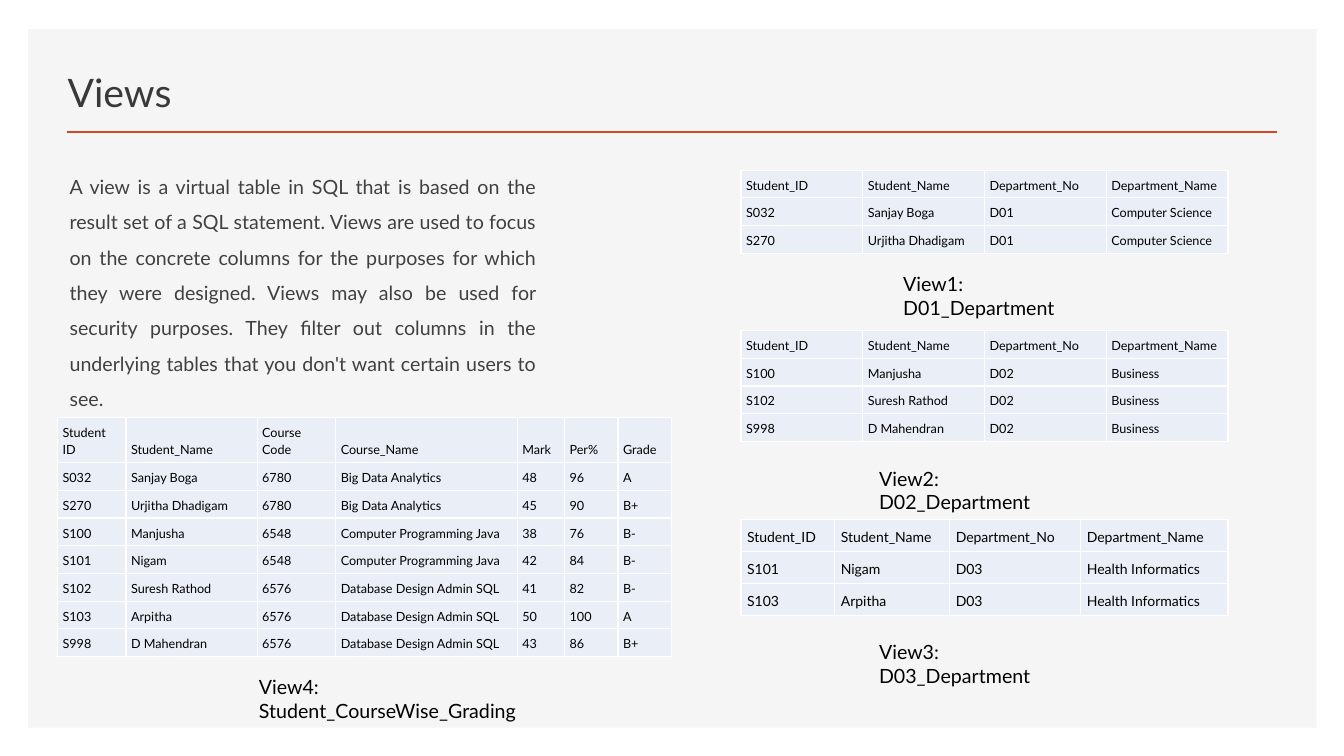
"""Build the "Views" slide: a definition of SQL views with four example tables."""
from lxml.etree import SubElement
from pptx import Presentation
from pptx.dml.color import RGBColor
from pptx.enum.shapes import MSO_CONNECTOR, MSO_SHAPE
from pptx.enum.text import MSO_ANCHOR as Anchor, MSO_AUTO_SIZE as AutoSize, PP_ALIGN as Align
from pptx.oxml import parse_xml
from pptx.oxml.ns import nsdecls, qn
from pptx.util import Inches, Pt

FONT = "Lato"
COLORS = {
    "panel": "F5F5F5",
    "rule": "D24726",
    "title": "3B3838",
    "body": "404040",
    "text": "000000",
    "cell": "EAEFF7",
    "border": "FFFFFF",
}

TITLE = "Views"
DEFINITION = (
    "A view is a virtual table in SQL that is based on the result set of a SQL statement. "
    "Views are used to focus on the concrete columns for the purposes for which they were "
    "designed. Views may also be used for security purposes. They filter out columns in the "
    "underlying tables that you don't want certain users to see."
)
DEPARTMENT_HEADER = ("Student_ID", "Student_Name", "Department_No", "Department_Name")
EQUAL_COLUMNS = (4.83 / 4,) * 4

VIEWS = [
    {
        "at": (7.35, 1.69), "columns": EQUAL_COLUMNS, "header": 0.27, "row": 0.275,
        "size": 9, "margin": 0.05, "anchor": Anchor.TOP,
        "caption": ("View1: D01_Department", 8.86, 2.65, 2.29),
        "rows": [
            DEPARTMENT_HEADER,
            ("S032", "Sanjay Boga", "D01", "Computer Science"),
            ("S270", "Urjitha Dhadigam", "D01", "Computer Science"),
        ],
    },
    {
        "at": (7.35, 3.28), "columns": EQUAL_COLUMNS, "header": 0.275, "row": 0.275,
        "size": 9, "margin": 0.05, "anchor": Anchor.BOTTOM,
        "caption": ("View2: D02_Department", 8.62, 4.58, 2.29),
        "rows": [
            DEPARTMENT_HEADER,
            ("S100", "Manjusha", "D02", "Business"),
            ("S102", "Suresh Rathod", "D02", "Business"),
            ("S998", "D Mahendran", "D02", "Business"),
        ],
    },
    {
        "at": (7.35, 5.15), "columns": (0.93, 1.14, 1.3, 1.46), "header": 0.32, "row": 0.32,
        "size": 10, "margin": 0.06, "anchor": Anchor.BOTTOM,
        "caption": ("View3: D03_Department", 8.62, 6.3, 2.29),
        "rows": [
            DEPARTMENT_HEADER,
            ("S101", "Nigam", "D03", "Health Informatics"),
            ("S103", "Arpitha", "D03", "Health Informatics"),
        ],
    },
    {
        "at": (0.57, 4.14), "columns": (0.68, 1.3, 0.78, 1.8, 0.47, 0.53, 0.53),
        "header": 0.45, "row": 0.275,
        "size": 9, "margin": 0.05, "anchor": Anchor.BOTTOM,
        "caption": ("View4: Student_CourseWise_Grading", 2.47, 6.65, 3.37),
        "rows": [
            ("Student ID", "Student_Name", "Course\nCode", "Course_Name", "Mark", "Per%", "Grade"),
            ("S032", "Sanjay Boga", "6780", "Big Data Analytics", "48", "96", "A"),
            ("S270", "Urjitha Dhadigam", "6780", "Big Data Analytics", "45", "90", "B+"),
            ("S100", "Manjusha", "6548", "Computer Programming Java", "38", "76", "B-"),
            ("S101", "Nigam", "6548", "Computer Programming Java", "42", "84", "B-"),
            ("S102", "Suresh Rathod", "6576", "Database Design Admin SQL", "41", "82", "B-"),
            ("S103", "Arpitha", "6576", "Database Design Admin SQL", "50", "100", "A"),
            ("S998", "D Mahendran", "6576", "Database Design Admin SQL", "43", "86", "B+"),
        ],
    },
]


def color(name):
    return RGBColor.from_string(COLORS[name])


def set_font(para, size, color_name):
    para.font.name = FONT
    para.font.size = Pt(size)
    para.font.color.rgb = color(color_name)


def place(shape, left, top, width, height):
    shape.left, shape.top = Inches(left), Inches(top)
    shape.width, shape.height = Inches(width), Inches(height)


def add_background(slide):
    panel = slide.shapes.add_shape(
        MSO_SHAPE.RECTANGLE, Inches(0.28), Inches(0.29), Inches(12.78), Inches(6.93))
    panel.shadow.inherit = False
    panel.fill.solid()
    panel.fill.fore_color.rgb = color("panel")
    panel.line.fill.background()

    rule = slide.shapes.add_connector(
        MSO_CONNECTOR.STRAIGHT, Inches(0.66), Inches(1.31), Inches(12.67), Inches(1.31))
    rule.line.color.rgb = color("rule")
    rule.line.width = Pt(2)
    SubElement(rule._element.spPr, qn("a:effectLst"))

    tree = slide.shapes._spTree
    tree.insert(2, panel._element)
    tree.insert(3, rule._element)


def fill_placeholders(slide):
    title, body = slide.placeholders
    place(title, 0.57, 0.49, 7.52, 0.7)
    title.text_frame.text = TITLE
    title.text_frame.auto_size = AutoSize.NONE
    title.text_frame.vertical_anchor = Anchor.BOTTOM
    heading = title.text_frame.paragraphs[0]
    heading.alignment = Align.LEFT
    set_font(heading, 28, "title")

    place(body, 0.59, 1.57, 4.83, 4.35)
    body.text_frame.text = DEFINITION
    body.text_frame.auto_size = AutoSize.NONE
    para = body.text_frame.paragraphs[0]
    para.alignment = Align.JUSTIFY
    para.line_spacing = 1.5
    para.space_before, para.space_after = Pt(10), Pt(12)
    set_font(para, 14, "body")
    properties = para._p.get_or_add_pPr()
    properties.set("marL", "0")
    properties.set("indent", "0")
    bullet = parse_xml(f"<a:buNone {nsdecls('a')}/>")
    properties.insert_element_before(bullet, "a:tabLst", "a:defRPr", "a:extLst")


def format_cell(cell, text, view):
    cell.text = text
    cell.vertical_anchor = view["anchor"]
    margin = Inches(view["margin"])
    cell.margin_left = cell.margin_right = cell.margin_top = cell.margin_bottom = margin
    cell.fill.solid()
    cell.fill.fore_color.rgb = color("cell")
    for para in cell.text_frame.paragraphs:
        para.line_spacing = 1.15
        set_font(para, view["size"], "text")
    for index, side in enumerate("LRTB"):
        border = parse_xml(
            f'<a:ln{side} {nsdecls("a")} w="{Pt(1)}"><a:solidFill>'
            f'<a:srgbClr val="{COLORS["border"]}"/></a:solidFill></a:ln{side}>')
        cell._tc.get_or_add_tcPr().insert(index, border)


def add_view(slide, view):
    rows, columns = view["rows"], view["columns"]
    heights = [view["header"]] + [view["row"]] * (len(rows) - 1)
    left, top = view["at"]
    table = slide.shapes.add_table(
        len(rows), len(columns), Inches(left), Inches(top),
        Inches(sum(columns)), Inches(sum(heights))).table
    table.first_row = table.horz_banding = False
    for column, width in zip(table.columns, columns):
        column.width = Inches(width)
    for row, height, texts in zip(table.rows, heights, rows):
        row.height = Inches(height)
        for cell, text in zip(row.cells, texts):
            format_cell(cell, text, view)


def add_caption(slide, text, left, top, width):
    box = slide.shapes.add_textbox(Inches(left), Inches(top), Inches(width), Inches(0.34))
    box.text_frame.word_wrap = True
    box.text_frame.text = text
    set_font(box.text_frame.paragraphs[0], 14, "text")


def main():
    deck = Presentation()
    deck.slide_width, deck.slide_height = Inches(13.33), Inches(7.5)
    slide = deck.slides.add_slide(deck.slide_layouts[1])
    add_background(slide)
    fill_placeholders(slide)
    for view in VIEWS:
        add_view(slide, view)
    for view in VIEWS:
        add_caption(slide, *view["caption"])
    deck.save("out.pptx")


if __name__ == "__main__":
    main()
